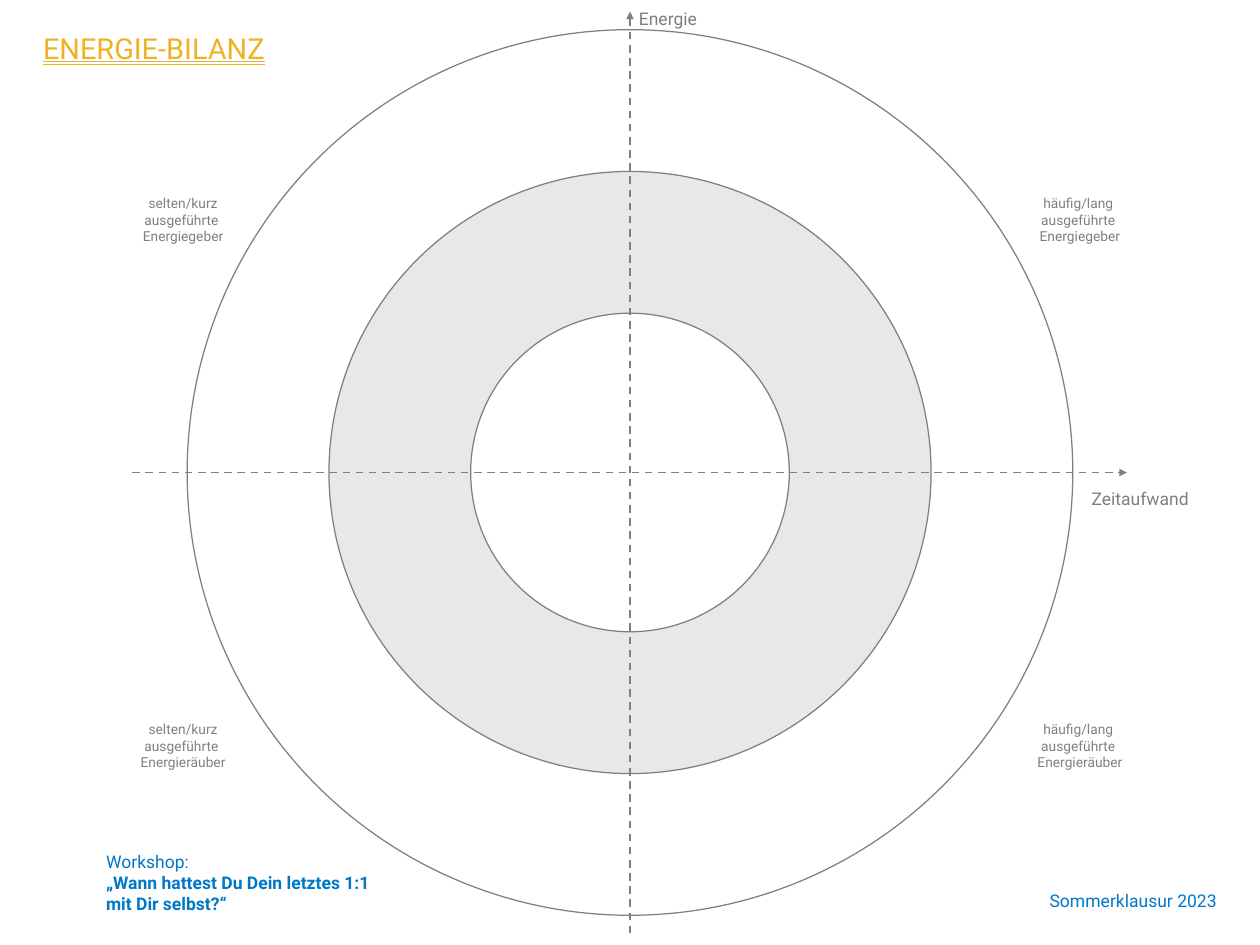
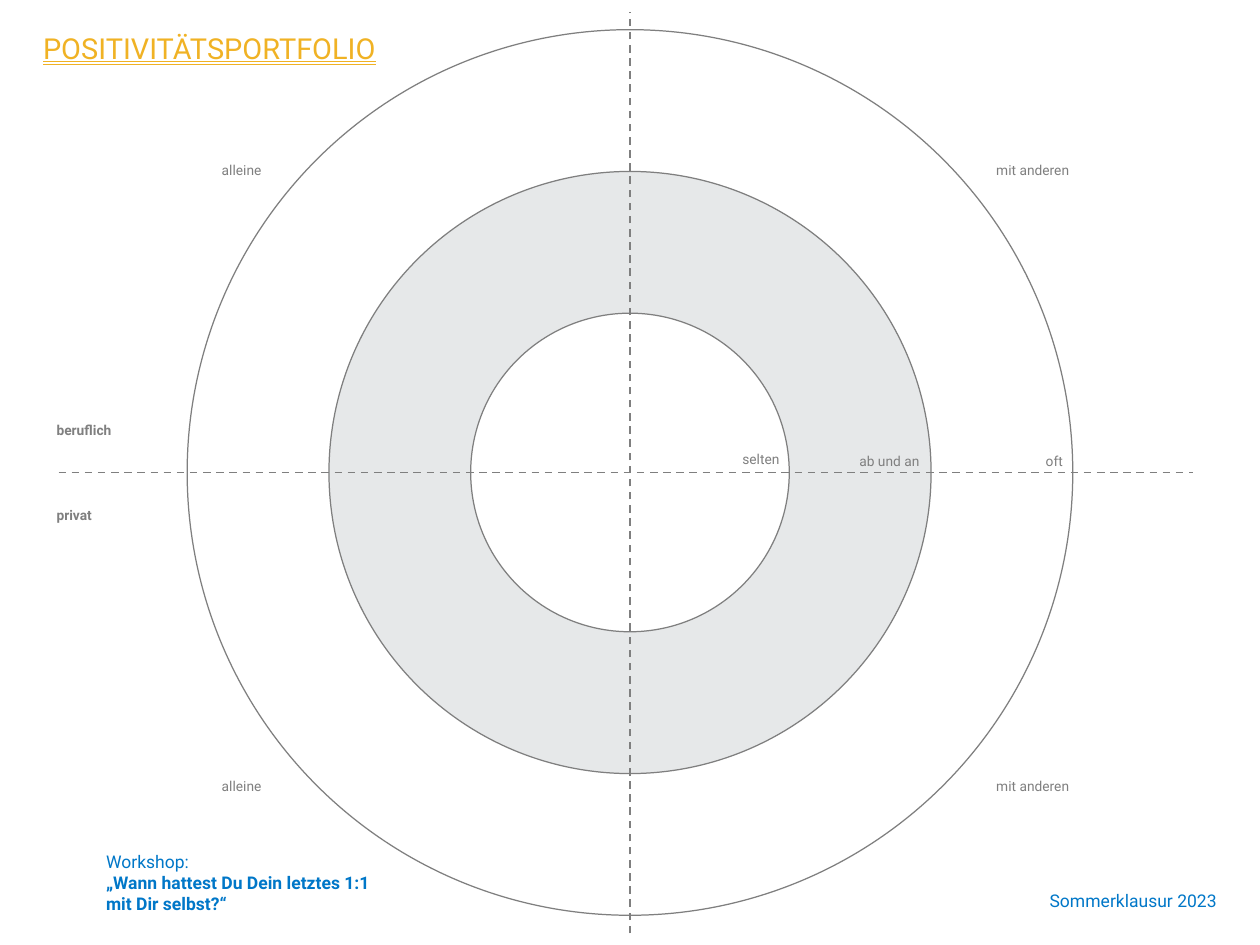
from copy import deepcopy
from itertools import product

from lxml.etree import SubElement
from pptx import Presentation
from pptx.dml.color import RGBColor
from pptx.enum.dml import MSO_LINE
from pptx.enum.shapes import MSO_CONNECTOR, MSO_SHAPE
from pptx.enum.text import (MSO_ANCHOR as Anchor, MSO_AUTO_SIZE as AutoSize,
                            MSO_UNDERLINE as Underline, PP_ALIGN as Align)
from pptx.oxml.ns import qn
from pptx.util import Inches, Pt

COLUMNS, ROWS = 140, 105
CELL = Inches(0.1)
CENTER_X, CENTER_Y = COLUMNS / 2, ROWS / 2
INNER_RADIUS, RING_STEP = 17.7, 15.75

COLORS = {"title": "F0B224", "brand": "0077C8", "gray": "7F7F7F",
          "ring": "E6E8E9", "core": "FFFFFF"}
STYLES = {
    "title": {"size": Pt(23.1), "underline": Underline.DOUBLE_LINE, "color": "title"},
    "footer": {"size": Pt(14), "color": "brand"},
    "footer bold": {"size": Pt(14), "bold": True, "color": "brand"},
    "axis": {"size": Pt(14), "color": "gray"},
    "label": {"size": Pt(11), "color": "gray"},
    "label bold": {"size": Pt(11), "bold": True, "color": "gray"},
}


def cells(*counts):
    return [round(count * CELL) for count in counts]


def rgb(name):
    return RGBColor.from_string(COLORS[name])


class Worksheet:
    """Draws on the current slide; all lengths are grid cells."""

    font_name = "Roboto"

    def __init__(self):
        self.presentation = Presentation()
        self.presentation.slide_width, self.presentation.slide_height = cells(COLUMNS, ROWS)
        self.slide = None

    def new_slide(self, title):
        self.slide = self.presentation.slides.add_slide(self.presentation.slide_layouts[6])
        self.circle(INNER_RADIUS + 2 * RING_STEP)
        self.circle(INNER_RADIUS + RING_STEP, "ring")
        self.circle(INNER_RADIUS, "core")
        self.text((10.8, 93.3, 31.5, 9.6),
                  [("Workshop:", "footer"),
                   ("„Wann hattest Du Dein letztes 1:1 mit Dir selbst?“", "footer bold")],
                  anchor=Anchor.MIDDLE)
        self.text((104.7, 97.3, 31.5, 5.6), [("Sommerklausur 2023", "footer")],
                  Align.RIGHT, Anchor.MIDDLE)
        self.text((3.8, 3.3, 112.6, 6.8), [(title, "title")], line_spacing=0.9)

    def circle(self, radius, fill=None):
        shape = self.slide.shapes.add_shape(
            MSO_SHAPE.OVAL,
            *cells(CENTER_X - radius, CENTER_Y - radius, 2 * radius, 2 * radius))
        shape.shadow.inherit = False
        if fill:
            shape.fill.solid()
            shape.fill.fore_color.rgb = rgb(fill)
        else:
            shape.fill.background()
        shape.line.color.rgb = rgb("gray")
        shape.line.width = Pt(1)

    def axis(self, start, end, arrow):
        connector = self.slide.shapes.add_connector(
            MSO_CONNECTOR.STRAIGHT, *cells(*start, *end))
        line = connector.line
        line.color.rgb = rgb("gray")
        line.width = Pt(1.5)
        line.dash_style = MSO_LINE.DASH
        if arrow:
            SubElement(line._get_or_add_ln(), qn("a:tailEnd"), type="triangle")
        SubElement(connector._element.spPr, qn("a:effectLst"))

    def axes(self, left, right, arrow=False):
        self.axis((left, CENTER_Y), (right, CENTER_Y), arrow)
        self.axis((CENTER_X, 103.7), (CENTER_X, 1.3), arrow)

    def text(self, box, paragraphs, align=Align.LEFT, anchor=Anchor.TOP,
             line_spacing=None, wrap=True):
        frame = self.slide.shapes.add_textbox(*cells(*box)).text_frame
        frame.word_wrap = wrap
        frame.auto_size = AutoSize.NONE if wrap else AutoSize.SHAPE_TO_FIT_TEXT
        frame.vertical_anchor = anchor
        for index, (content, style) in enumerate(paragraphs):
            paragraph = frame.add_paragraph() if index else frame.paragraphs[0]
            paragraph.text = content
            paragraph.alignment = align
            paragraph.line_spacing = line_spacing
            self.format_runs(paragraph, STYLES[style])

    def format_runs(self, paragraph, style):
        for run in paragraph.runs:
            run.font.name = self.font_name
            for key, value in style.items():
                if key == "color":
                    run.font.color.rgb = rgb(value)
                else:
                    setattr(run.font, key, value)
        for line_break in paragraph._p.findall(qn("a:br")):
            line_break.append(deepcopy(paragraph.runs[0]._r.rPr))

    def label(self, content, left, top, width, style="label", height=2.9):
        self.text((left, top, width, height), [(content, style)], wrap=False)

    def centered_label(self, content, middle, top, height=2.9, width=12):
        self.text((middle - width / 2, top, width, height), [(content, "label")],
                  Align.CENTER, wrap=False)


def energy_balance(sheet):
    sheet.new_slide("ENERGIE-BILANZ")
    sheet.axes(14.7, 125.2, arrow=True)
    sheet.label("Zeitaufwand", 120.3, 53.7, 13.7, "axis", 3.4)
    sheet.label("Energie", 70, 0.4, 9.1, "axis", 3.4)
    durations = [("selten/kurz", 20.35), ("häufig/lang ", 120)]
    effects = [("Energiegeber", 21.2), ("Energieräuber", 79.6)]
    for (duration, middle), (effect, top) in product(durations, effects):
        sheet.centered_label(f"{duration}\vausgeführte \v{effect}", middle, top, 6.6)


def positivity_portfolio(sheet):
    sheet.new_slide("POSITIVITÄTSPORTFOLIO")
    sheet.axes(6.5, 132.5)
    companies = [("alleine", 26.85), ("mit anderen", 114.75)]
    for (company, middle), top in product(companies, (17.5, 85.9)):
        sheet.centered_label(company, middle, top)
    sheet.label("beruflich", 5.3, 46.4, 8.7, "label bold")
    sheet.label("privat", 5.3, 55.8, 6.6, "label bold")
    for frequency, left, top, width in [("selten", 81.5, 49.6, 6.3),
                                        ("ab und an", 94.5, 49.8, 9.4),
                                        ("oft", 115.2, 49.8, 4.1)]:
        sheet.label(frequency, left, top, width)


def main():
    sheet = Worksheet()
    energy_balance(sheet)
    positivity_portfolio(sheet)
    sheet.presentation.save("out.pptx")


if __name__ == "__main__":
    main()
